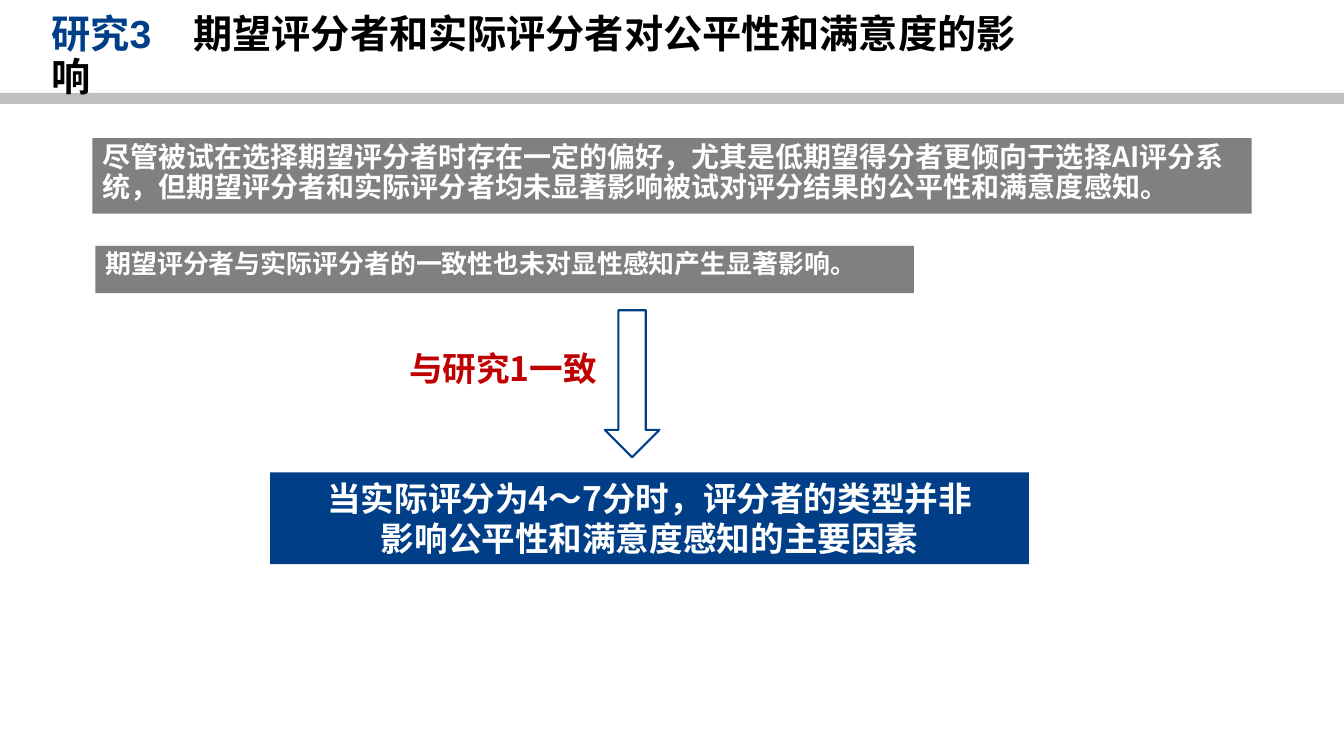
from dataclasses import dataclass

from lxml import etree
from pptx import Presentation
from pptx.dml.color import RGBColor
from pptx.enum import shapes, text
from pptx.oxml import ns
from pptx.util import Pt


@dataclass(frozen=True)
class Theme:
    latin: str = "Arial"
    chinese: str = "Noto Sans CJK SC"
    blue: str = "003F88"
    black: str = "000000"
    white: str = "FFFFFF"
    red: str = "C00000"
    gray: str = "808080"
    rule: str = "BFBFBF"
    title_size: float = 28
    body_size: float = 20
    finding_size: float = 18.5
    key_size: float = 24


THEME = Theme()
SLIDE_SIZE = (960, 540)

TITLE = ("研究3", "\t期望评分者和实际评分者对公平性和满意度的影响")
PREFERENCE = ["尽管被试在选择期望评分者时存在一定的偏好，尤其是低期望得分者更倾向于选择AI评分系统，但期望评分者和实际评分者均未显著影响被试对评分结果的公平性和满意度感知。"]
CONSISTENCY = ["期望评分者与实际评分者的一致性也未对显性感知产生显著影响。"]
AGREEMENT = ["与研究1一致"]
CONCLUSION = ["当实际评分为4～7分时，评分者的类型并非", "影响公平性和满意度感知的主要因素"]

PLACES = {
    "rule": (0, 66.3, 960, 8),
    "title": (29.5, 24.5, 727, 33),
    "preference": (66, 98.6, 828, 54),
    "consistency": (68.2, 175.7, 584.6, 33.8),
    "agreement": (285.1, 244.8, 167, 36.4),
    "arrow": (432, 221.6, 39, 105),
    "conclusion": (193, 337.5, 542, 65.4),
}
TITLE_TAB = 101.5


def color(value):
    return RGBColor.from_string(value)


def place(shape, name):
    shape.left, shape.top, shape.width, shape.height = map(Pt, PLACES[name])


def format_run(run, size, ink, latin):
    run.font.name = latin
    run.font.size = Pt(size)
    run.font.bold = True
    run.font.color.rgb = color(ink)
    east_asian = etree.Element(ns.qn("a:ea"), typeface=THEME.chinese)
    run.font._element.find(ns.qn("a:latin")).addnext(east_asian)


def prepare_frame(shape, anchor):
    frame = shape.text_frame
    frame.word_wrap = True
    frame.auto_size = text.MSO_AUTO_SIZE.NONE
    frame.vertical_anchor = anchor
    return frame


def write(shape, lines, size, ink, align=text.PP_ALIGN.LEFT, spacing=1.0):
    frame = prepare_frame(shape, text.MSO_ANCHOR.TOP)
    frame.text = "\n".join(lines)
    for paragraph in frame.paragraphs:
        paragraph.alignment = align
        paragraph.line_spacing = spacing
        paragraph.space_before = Pt(0)
        for run in paragraph.runs:
            format_run(run, size, ink, THEME.chinese)


def write_title(shape):
    place(shape, "title")
    frame = prepare_frame(shape, text.MSO_ANCHOR.MIDDLE)
    paragraph = frame.paragraphs[0]
    paragraph.alignment = text.PP_ALIGN.LEFT
    paragraph.line_spacing = 0.9
    properties = paragraph._p.get_or_add_pPr()
    tabs = etree.SubElement(properties, ns.qn("a:tabLst"))
    etree.SubElement(tabs, ns.qn("a:tab"), pos=str(Pt(TITLE_TAB)), algn="l")
    for words, ink in zip(TITLE, (THEME.blue, THEME.black)):
        run = paragraph.add_run()
        run.text = words
        format_run(run, THEME.title_size, ink, THEME.latin)


def write_body(shape):
    place(shape, "preference")
    shape.fill.solid()
    shape.fill.fore_color.rgb = color(THEME.gray)
    write(shape, PREFERENCE, THEME.body_size, THEME.white, spacing=0.9)
    properties = shape.text_frame.paragraphs[0]._p.get_or_add_pPr()
    properties.set("marL", "0")
    properties.set("indent", "0")
    etree.SubElement(properties, ns.qn("a:buNone"))


def add_panel(slide, name, fill):
    panel = slide.shapes.add_shape(
        shapes.MSO_SHAPE.RECTANGLE, *map(Pt, PLACES[name]))
    panel.shadow.inherit = False
    panel.fill.solid()
    panel.fill.fore_color.rgb = color(fill)
    panel.line.fill.background()
    return panel


def add_arrow(slide):
    arrow = slide.shapes.add_shape(
        shapes.MSO_SHAPE.DOWN_ARROW, *map(Pt, PLACES["arrow"]))
    arrow.shadow.inherit = False
    arrow.fill.background()
    arrow.line.color.rgb = color(THEME.blue)
    arrow.line.width = Pt(1.5)


def main():
    presentation = Presentation()
    presentation.slide_width, presentation.slide_height = map(Pt, SLIDE_SIZE)
    slide = presentation.slides.add_slide(presentation.slide_layouts[1])
    title, body = slide.placeholders

    rule = add_panel(slide, "rule", THEME.rule)
    title.element.addprevious(rule.element)
    write_title(title)
    write_body(body)

    consistency = add_panel(slide, "consistency", THEME.gray)
    write(consistency, CONSISTENCY, THEME.finding_size, THEME.white, spacing=0.9)
    conclusion = add_panel(slide, "conclusion", THEME.blue)
    write(conclusion, CONCLUSION, THEME.key_size, THEME.white, text.PP_ALIGN.CENTER)
    agreement = slide.shapes.add_textbox(*map(Pt, PLACES["agreement"]))
    write(agreement, AGREEMENT, THEME.key_size, THEME.red)
    add_arrow(slide)

    presentation.save("out.pptx")


if __name__ == "__main__":
    main()
